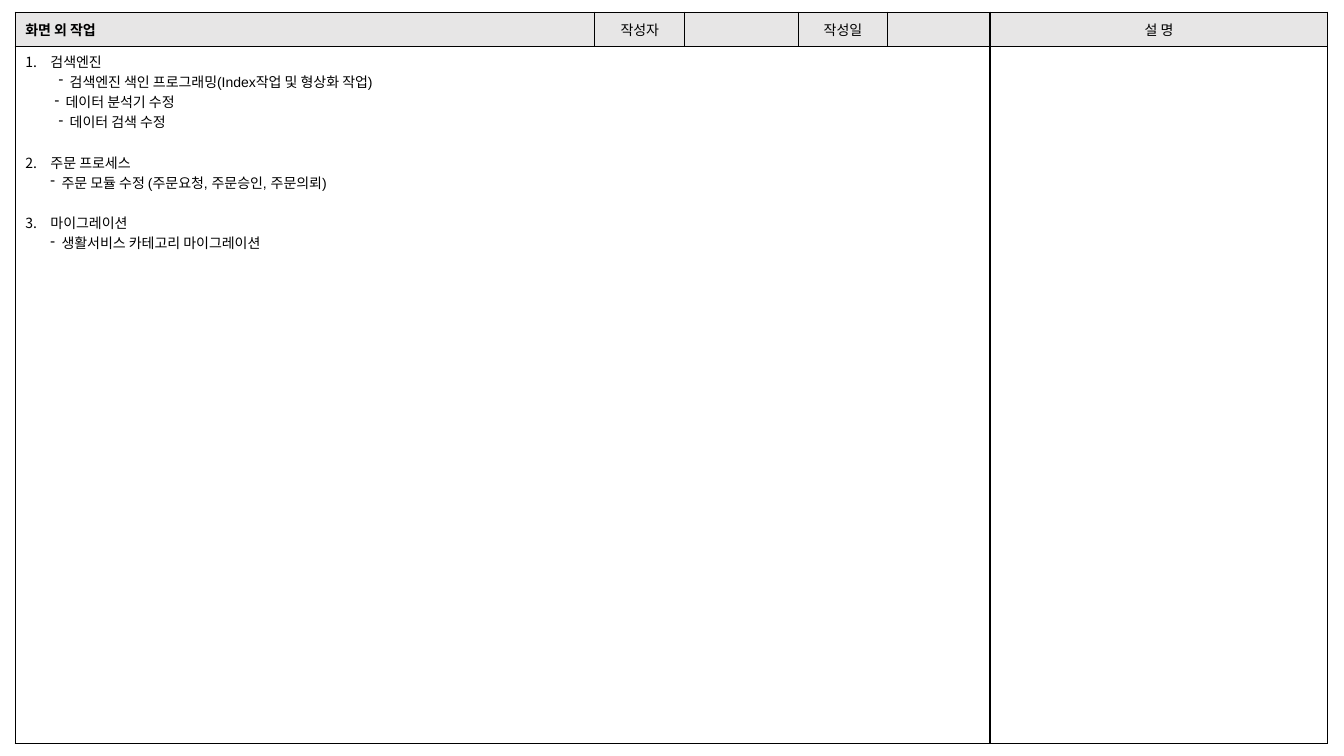
from lxml import etree
from pptx import Presentation
from pptx.dml.color import RGBColor
from pptx.enum.text import MSO_ANCHOR, PP_ALIGN
from pptx.oxml.ns import qn
from pptx.util import Emu, Inches, Pt

LEFT, CENTER = PP_ALIGN.LEFT, PP_ALIGN.CENTER
TOP, MIDDLE = MSO_ANCHOR.TOP, MSO_ANCHOR.MIDDLE
BLACK = RGBColor(0x00, 0x00, 0x00)
WHITE = RGBColor(0xFF, 0xFF, 0xFF)
GRAY = RGBColor(0xE7, 0xE6, 0xE6)
FONT, SIZE, LINE = "Arial", 10, 14.4
NUMBER_INDENT, DASH_HANG, DASH_STEP = 0.25, 0.11, 0.04

COLUMNS = [43.13, 6.68, 8.48, 6.6, 7.65, 25.13]
ROWS = [4.53, 92.27]
HEADERS = ["화면 외 작업", "작성자", "", "작성일", "", "설 명"]
TASKS = [
    ("검색엔진", [
        (2, "검색엔진 색인 프로그래밍(Index작업 및 형상화 작업)"),
        (1, "데이터 분석기 수정"),
        (2, "데이터 검색 수정"),
    ]),
    ("주문 프로세스", [(0, "주문 모듈 수정 (주문요청, 주문승인, 주문의뢰)")]),
    ("마이그레이션", [(0, "생활서비스 카테고리 마이그레이션")]),
]


def write(p, text, size=SIZE, bold=False, color=BLACK, align=LEFT, before=0):
    p.alignment = align
    p.space_before = Pt(before)
    if not text:
        etree.SubElement(p._p, qn("a:endParaRPr"), sz=str(size * 100))
        return
    r = p.add_run()
    r.text = text
    r.font.name, r.font.size, r.font.bold = FONT, Pt(size), bold
    r.font.color.rgb = color


def bullet(p, tag, margin, hang, **attributes):
    pPr = p._p.get_or_add_pPr()
    pPr.set("marL", str(Inches(margin)))
    pPr.set("indent", str(-Inches(hang)))
    etree.SubElement(pPr, qn(tag), **attributes)


class Page:
    """Holds the slide and draws its elements in percent of the slide size."""

    def __init__(self, prs):
        self.width, self.height = prs.slide_width, prs.slide_height
        self.s = prs.slides.add_slide(prs.slide_layouts[6])

    def x(self, percent):
        return Emu(round(self.width * percent / 100))

    def y(self, percent):
        return Emu(round(self.height * percent / 100))

    def table(self, left, top, columns, rows):
        frame = self.s.shapes.add_table(
            len(rows), len(columns), self.x(left), self.y(top),
            self.x(sum(columns)), self.y(sum(rows)))
        table = frame.table
        table.first_row = table.horz_banding = False
        for column, share in zip(table.columns, columns):
            column.width = self.x(share)
        for row, share in zip(table.rows, rows):
            row.height = self.y(share)
        return table

    def cell(self, cell, fill=WHITE, anchor=TOP):
        tcPr = cell._tc.get_or_add_tcPr()
        for side in ("a:lnL", "a:lnR", "a:lnT", "a:lnB"):
            ln = etree.SubElement(tcPr, qn(side), w=str(Pt(1)))
            solid = etree.SubElement(ln, qn("a:solidFill"))
            etree.SubElement(solid, qn("a:srgbClr"), val=str(BLACK))
        cell.fill.solid()
        cell.fill.fore_color.rgb = fill
        cell.vertical_anchor = anchor
        return cell.text_frame

    def tasks(self, tf, tasks):
        for i, (task, details) in enumerate(tasks):
            p = tf.add_paragraph() if i else tf.paragraphs[0]
            write(p, task, before=LINE if i else 0)
            bullet(p, "a:buAutoNum", NUMBER_INDENT, NUMBER_INDENT,
                   type="arabicPeriod", startAt=str(i + 1))
            for steps, detail in details:
                p = tf.add_paragraph()
                write(p, detail)
                margin = NUMBER_INDENT + steps * DASH_STEP + DASH_HANG
                bullet(p, "a:buChar", margin, DASH_HANG, char="-")


def main():
    prs = Presentation()
    prs.slide_width, prs.slide_height = Inches(13.33), Inches(7.5)
    page = Page(prs)
    table = page.table(1.13, 1.6, COLUMNS, ROWS)
    for i, header in enumerate(HEADERS):
        tf = page.cell(table.cell(0, i), fill=GRAY, anchor=MIDDLE)
        write(tf.paragraphs[0], header, bold=i == 0, align=CENTER if i else LEFT)
        page.cell(table.cell(1, i))
    body = table.cell(1, 0)
    body.merge(table.cell(1, 4))
    page.tasks(body.text_frame, TASKS)
    prs.save("out.pptx")


if __name__ == "__main__":
    main()
